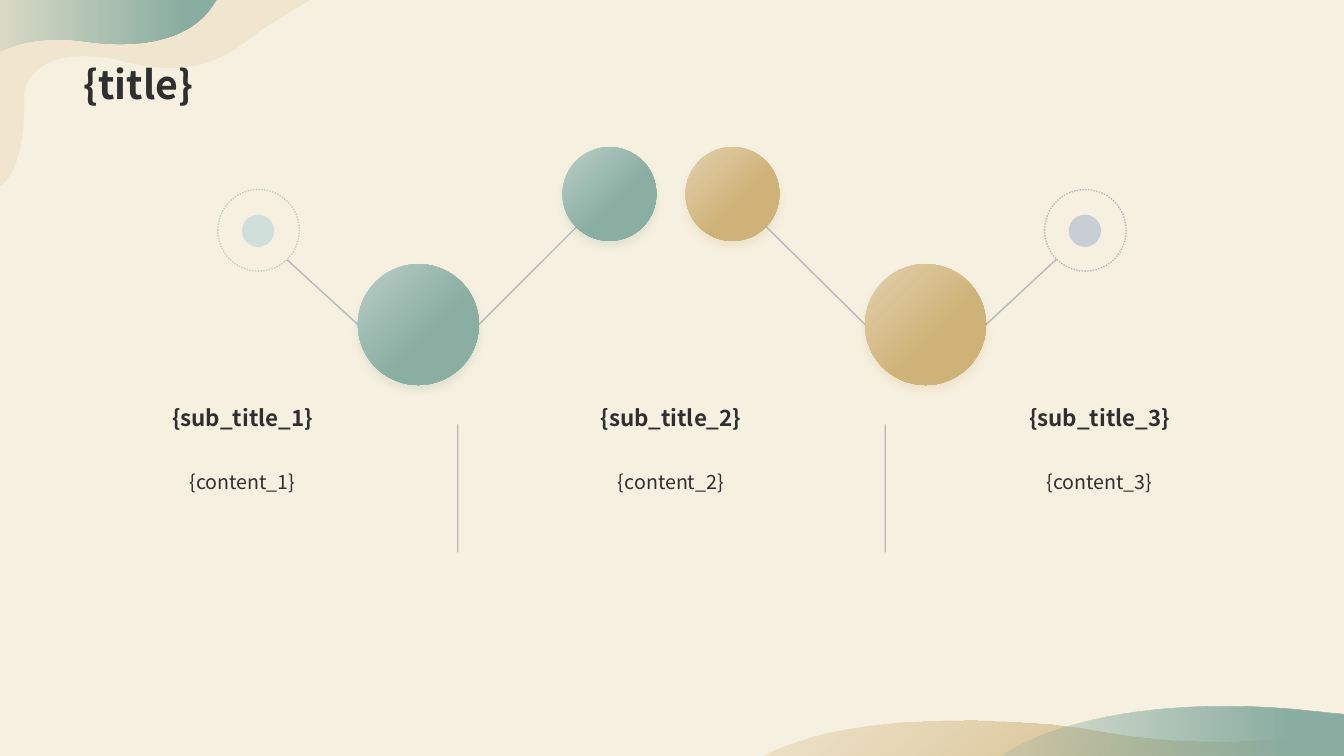
from lxml import etree
from pptx import Presentation, util as u
from pptx.dml.color import RGBColor
from pptx.enum import dml, shapes, text
from pptx.oxml.ns import qn

PX = 9144  # EMU in one px, 100 px to the inch
FONT = "Noto Sans CJK SC"
COLORS = {
    "cream": "F6F0E0", "ink": "2F2F2F", "slate": "778495",
    "sage": "8AAEA2", "light sage": "B9CEC7", "pale sage": "D0DFDA",
    "gold": "CFB278", "light gold": "E2D1AE", "pale slate": "C9CED5",
}

# Each outline starts at a point; pairs are straight lines, sixes are curves.
GOLD_WAVE = [
    (956, 715), (989, 715, 1038, 717, 1070, 722), (1103, 727, 1179, 746, 1319, 728),
    (1333, 726), (1333, 750), (757, 750), (765, 745, 823, 714, 956, 715),
]
SAGE_WAVE = [
    (1219, 701), (1247, 701, 1279, 703, 1313, 707), (1333, 709), (1333, 750),
    (993, 750), (1003, 743, 1068, 700, 1219, 701),
]
GOLD_CORNER = [
    (-2, 186), (-2, 186, 26, 177, 24, 94), (24, 85, 36, 44, 114, 59),
    (157, 69, 199, 80, 255, 33), (263, 26, 308, 0, 308, 0), (0, 0),
]
SAGE_CORNER = [
    (-1, 0), (215, 0), (211, 6), (190, 38, 143, 49, 85, 41),
    (42, 35, 14, 44, 1, 51), (-1, 52),
]


def color(name):
    return RGBColor.from_string(COLORS[name])


def px(*lengths):
    return [u.Emu(length * PX) for length in lengths]


def fade(shape, percent):
    """Set the opacity of the first colour in the shape's fill or line."""
    first = next(shape._element.spPr.iter(qn("a:srgbClr")))
    etree.SubElement(first, qn("a:alpha"), val=str(percent * 1000))


def fill_gradient(shape, start, end, end_at, angle):
    shape.fill.gradient()
    shape.fill.gradient_angle = -angle % 360
    for stop, name, position in zip(shape.fill.gradient_stops, (start, end), (0, end_at)):
        stop.color.rgb = color(name)
        stop.position = position


def bend(wave, outline):
    """Join the three lines that stand for each curve into a cubic curve."""
    lines = iter(list(wave._element.iter(qn("a:lnTo"))))
    for segment in outline[1:]:
        first = next(lines)
        if len(segment) == 6:
            first.tag = qn("a:cubicBezTo")
            for _ in range(2):
                extra = next(lines)
                first.append(extra[0])
                extra.getparent().remove(extra)


def add_wave(page, outline):
    points = [px(*segment[i:i + 2])
              for segment in outline for i in range(0, len(segment), 2)]
    builder = page.shapes.build_freeform(*points[0], scale=1.0)
    builder.add_line_segments(points[1:], close=True)
    wave = builder.convert_to_shape()
    bend(wave, outline)
    wave.shadow.inherit = False
    wave.line.fill.background()
    return wave


def add_gradient_wave(page, outline, name, end_at, angle):
    wave = add_wave(page, outline)
    fill_gradient(wave, name, name, end_at, angle)
    fade(wave, 20)


def add_circle(page, left, top, size):
    circle = page.shapes.add_shape(
        shapes.MSO_SHAPE.OVAL, *px(left, top, size, size))
    circle.shadow.inherit = False
    circle.line.fill.background()
    return circle


def add_ball(page, left, top, size, name):
    """Add a shaded circle with a soft shadow below it."""
    ball = add_circle(page, left, top, size)
    fill_gradient(ball, "light " + name, name, 0.6, 45)
    effects = ball._element.spPr.find(qn("a:effectLst"))
    shadow = etree.SubElement(
        effects, qn("a:outerShdw"), blurRad=str(u.Pt(6)), dist=str(u.Pt(4)),
        dir=str(90 * 60000), algn="t", rotWithShape="0")
    tint = etree.SubElement(shadow, qn("a:srgbClr"), val=COLORS[name])
    etree.SubElement(tint, qn("a:alpha"), val="20000")


def add_target(page, left, top, ring_color, dot_color):
    """Add a dotted ring with a small dot at its centre."""
    ring = add_circle(page, left, top, 81)
    ring.fill.background()
    ring.line.color.rgb = color(ring_color)
    ring.line.width = u.Pt(1)
    ring.line.dash_style = dml.MSO_LINE.ROUND_DOT
    fade(ring, 50)
    dot = add_circle(page, left + 24, top + 25, 32)
    dot.fill.solid()
    dot.fill.fore_color.rgb = color(dot_color)


def add_line(page, *ends):
    line = page.shapes.add_connector(shapes.MSO_CONNECTOR.STRAIGHT, *px(*ends))
    line.line.color.rgb = color("slate")
    line.line.width = u.Pt(1)
    etree.SubElement(line._element.spPr, qn("a:effectLst"))
    fade(line, 50)


def write(box, words, size, bold, align, spacing):
    box.text_frame.word_wrap = True
    para = box.text_frame.paragraphs[0]
    para.alignment = align
    para.line_spacing = spacing
    span = para.add_run()
    span.text = words
    span.font.name = FONT
    span.font.size = u.Pt(size)
    span.font.bold = bold
    span.font.color.rgb = color("ink")


def add_label(page, words, place, size, bold, spacing):
    box = page.shapes.add_textbox(*px(*place))
    box.text_frame.auto_size = text.MSO_AUTO_SIZE.SHAPE_TO_FIT_TEXT
    write(box, words, size, bold, text.PP_ALIGN.CENTER, spacing)


def set_title(page, words):
    title = page.shapes.title
    title.left, title.top, title.width, title.height = px(73, 0, 1187, 112)
    title.text_frame.auto_size = text.MSO_AUTO_SIZE.NONE
    title.text_frame.vertical_anchor = text.MSO_ANCHOR.BOTTOM
    write(title, words, 28, True, text.PP_ALIGN.LEFT, 0.9)
    page.shapes._spTree.append(title._element)  # in front of the corner waves


def main():
    deck = Presentation()
    deck.slide_width, deck.slide_height = u.Inches(13.33), u.Inches(7.5)
    page = deck.slides.add_slide(deck.slide_layouts[5])
    page.background.fill.solid()
    page.background.fill.fore_color.rgb = color("cream")

    add_gradient_wave(page, GOLD_WAVE, "gold", 1, 50)
    add_gradient_wave(page, SAGE_WAVE, "sage", 0.85, 0)
    corner = add_wave(page, GOLD_CORNER)
    corner.fill.solid()
    corner.fill.fore_color.rgb = color("gold")
    fade(corner, 15)
    add_gradient_wave(page, SAGE_CORNER, "sage", 0.85, 0)

    for name, small_left, large_left in (("sage", 558, 355), ("gold", 680, 858)):
        add_ball(page, small_left, 146, 93, name)
        add_ball(page, large_left, 262, 120, name)
    add_target(page, 216, 188, "sage", "pale sage")
    add_target(page, 1036, 188, "slate", "pale slate")

    for ends in ((572, 225, 475, 322), (760, 225, 858, 322),
                 (978, 322, 1048, 257), (355, 322, 285, 258)):
        add_line(page, *ends)
    for x in (454, 878):
        add_line(page, x, 421, x, 548)

    for column in range(3):
        left = 71 + 425 * column
        add_label(page, f"{{sub_title_{column + 1}}}", (left, 396, 339, 37), 16, True, 1.0)
        add_label(page, f"{{content_{column + 1}}}", (left, 450, 339, 45), 14, False, 1.5)
    set_title(page, "{title}")
    deck.save("out.pptx")


if __name__ == "__main__":
    main()
